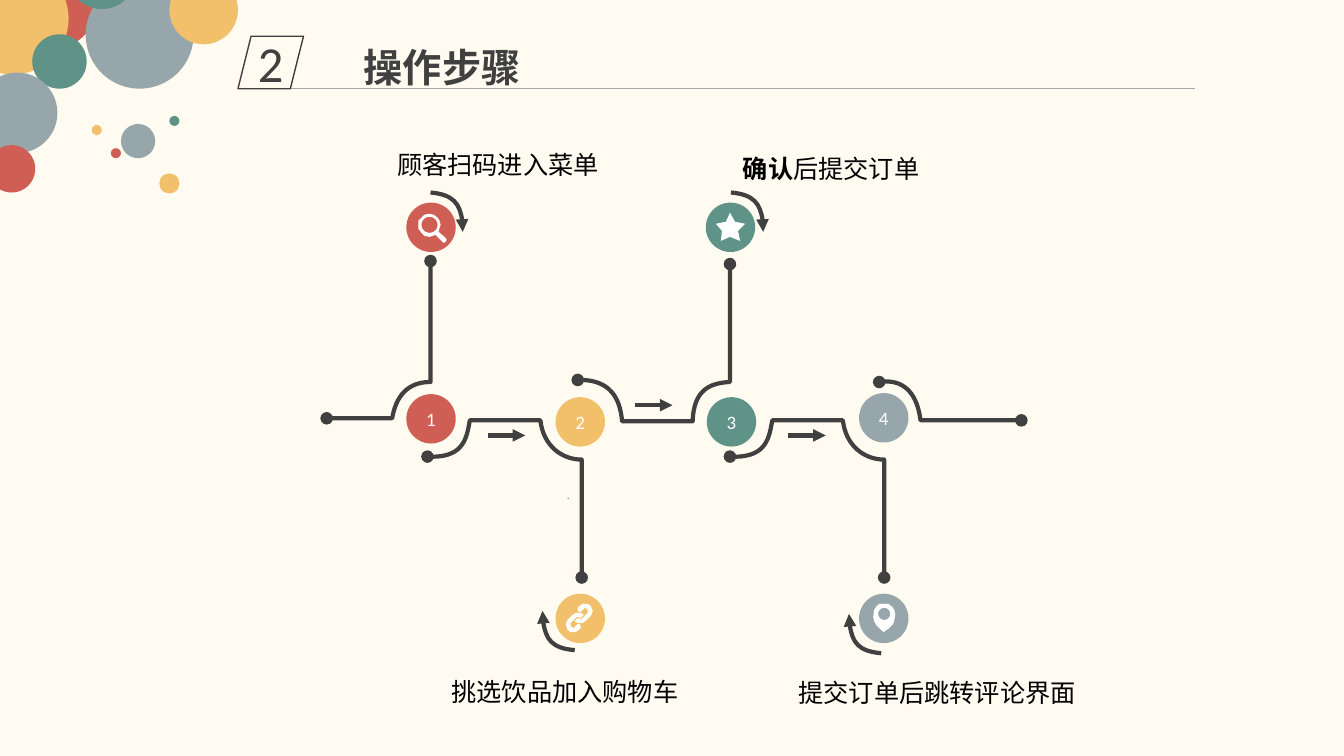
from dataclasses import dataclass
from itertools import chain, cycle
from math import cos, pi, sin

from pptx import Presentation
from pptx.dml.color import RGBColor as RGB
from pptx.enum.shapes import MSO_CONNECTOR as CONN, MSO_SHAPE as SHAPE
from pptx.enum.text import MSO_ANCHOR as ANCHOR, MSO_AUTO_SIZE as FIT, PP_ALIGN as ALIGN
from pptx.oxml import parse_xml
from pptx.oxml.ns import nsdecls, qn
from pptx.oxml.xmlchemy import OxmlElement
from pptx.util import Emu, Pt


@dataclass(frozen=True)
class Theme:
    cream: str = "FFFBF0"
    dark: str = "404040"
    rule: str = "A6A6A6"
    faint: str = "808080"
    black: str = "000000"
    white: str = "FFFFFF"
    red: str = "CF5F55"
    gold: str = "F2C06B"
    teal: str = "5F9387"
    slate: str = "97A6AB"
    latin: str = "Calibri"
    cjk: str = "Noto Sans CJK JP"
    section: float = 36
    title: float = 28
    label: float = 18
    number: float = 13.5
    tiny: float = 8.2


T = Theme()
DISC = 49

BUBBLES = [  # left, top, diameter, colour
    (4, -44, 93, T.red), (-43, -37, 111, T.gold), (32, 34, 54, T.teal),
    (-23, 72, 80, T.slate), (85, -19, 107, T.slate), (67, -59, 68, T.teal),
    (-12, 144, 47, T.red), (120, 123, 34, T.slate), (110, 147, 10, T.red),
    (91, 124, 10, T.gold), (168, 115, 10, T.teal), (158, 172, 20, T.gold),
    (168, -24, 68, T.gold),
]
STEPS = [  # colour, number disc, icon disc
    (T.red, (403, 391), (403, 201)),
    (T.gold, (551, 394), (551, 589)),
    (T.teal, (701, 394), (700, 201)),
    (T.slate, (852, 390), (852, 589)),
]
LABELS = [  # left, top, width, height, runs of (text, bold)
    (384, 143, 222, 71, [("顾客扫码进入菜单", False)]),
    (438, 666, 265, 40, [("挑选饮品加入购物车", False)]),
    (727, 147, 197, 40, [("确认", True), ("后提交订单", False)]),
    (782, 667, 298, 40, [("提交订单后跳转评论界面", False)]),
]
# A pair of numbers is a straight step; six numbers are a Bézier step.
DIP = [(424, 453), (460, 455, 463, 434, 466, 417), (536, 417),
       (539, 443, 558, 456, 577, 456), (577, 573)]
RISES = [
    [(324, 415), (389, 415), (394, 386, 411, 379, 427, 379), (427, 259)],
    [(573, 377), (603, 376, 615, 394, 617, 418), (687, 418),
     (688, 386, 705, 380, 724, 379), (724, 262)],
    [(872, 379), (897, 375, 910, 393, 913, 417), (1013, 417)],
]
TURN_DOWN = [(427, 191), (450, 193, 460, 207, 459, 230)]
TURN_UP = [(570, 645), (547, 643, 538, 630, 538, 606)]
STRAIGHT_ARROWS = [(484, 432), (630, 402), (782, 432)]
LENS = [(426, 212), (430, 213), (434, 216), (436, 219), (437, 223), (436, 226),
        (435, 230), (442, 236), (443, 238), (442, 240), (440, 241), (439, 240),
        (432, 233), (429, 234), (426, 235), (421, 234), (418, 231), (415, 227),
        (415, 219), (418, 216), (421, 213)]
LINK = [(573, 608), (576, 608), (578, 609), (579, 610), (576, 613), (574, 612),
        (572, 612), (566, 618), (566, 621), (567, 622), (569, 623), (570, 622),
        (573, 619), (575, 619), (576, 621), (576, 623), (574, 625), (571, 627),
        (569, 627), (566, 627), (563, 625), (562, 622), (561, 620), (562, 617),
        (563, 615), (568, 610), (571, 608)]
PIN = [(877, 599), (881, 599), (885, 602), (887, 605), (888, 610), (887, 615),
       (886, 619), (884, 621), (881, 624), (879, 625), (877, 627), (875, 626),
       (873, 624), (871, 622), (869, 620), (867, 616), (866, 612), (867, 605),
       (869, 602), (872, 599)]
STAR = [(724, 211), (729, 220), (739, 222), (732, 229), (734, 239),
        (724, 235), (715, 239), (716, 229), (710, 222), (720, 220)]


def px(v):
    return Emu(round(v * 9144))


def shift(route, *offset):
    return [tuple(v + d for v, d in zip(seg, cycle(offset))) for seg in route]


def ring(cx, cy, r, n=24):
    return [(cx + r * cos(2 * pi * i / n), cy + r * sin(2 * pi * i / n)) for i in range(n)]


def paint(s, fill=None, line=None, width=1):
    """Set fill and outline; None leaves that part empty."""
    s.shadow.inherit = False
    if fill:
        s.fill.solid()
        s.fill.fore_color.rgb = RGB.from_string(fill)
    else:
        s.fill.background()
    if line:
        stroke(s, line, width)
    else:
        s.line.fill.background()


def stroke(s, color, width, **ends):
    """Draw the line; ends maps headEnd and tailEnd to their kinds, in that order."""
    s.line.color.rgb = RGB.from_string(color)
    s.line.width = Pt(width)
    ln = s.element.find(".//" + qn("a:ln"))
    for tag, kind in ends.items():
        ln.append(parse_xml(f'<a:{tag} {nsdecls("a")} type="{kind}"/>'))


def write(s, runs, size, color, font=T.latin, align=ALIGN.LEFT, **frame):
    """Fill the text frame with (text, bold) runs."""
    tf = s.text_frame
    for name, value in frame.items():
        setattr(tf, name, value)
    p = tf.paragraphs[0]
    p.alignment = align
    for text, bold in runs:
        r = p.add_run()
        r.text = text
        for name, value in {"size": Pt(size), "bold": bold, "name": font}.items():
            setattr(r.font, name, value)
        r.font.color.rgb = RGB.from_string(color)
        ea = OxmlElement("a:ea")
        ea.set("typeface", T.cjk)
        r.font.fill  # the colour is in place before the typeface
        r.font._element.find(qn("a:latin")).addnext(ea)


def preset(shapes, kind, x, y, w, h, **look):
    s = shapes.add_shape(kind, px(x), px(y), px(w), px(h))
    paint(s, **look)
    return s


def disc(shapes, x, y, d, color):
    return preset(shapes, SHAPE.OVAL, x, y, d, d, fill=color)


def center_number(s, text, size, color):
    write(s, [(text, False)], size, color, align=ALIGN.CENTER, word_wrap=False,
          vertical_anchor=ANCHOR.MIDDLE, margin_left=0, margin_right=0,
          margin_top=0, margin_bottom=0)


def text_box(shapes, x, y, w, h, runs, size, color, wrap=True, **style):
    s = shapes.add_textbox(px(x), px(y), px(w), px(h))
    write(s, runs, size, color, word_wrap=wrap, auto_size=FIT.SHAPE_TO_FIT_TEXT, **style)


def line(shapes, x1, y1, x2, y2, color, width, **ends):
    s = shapes.add_connector(CONN.STRAIGHT, px(x1), px(y1), px(x2), px(y2))
    s.element.spPr.append(OxmlElement("a:effectLst"))
    stroke(s, color, width, **ends)


def outline(shapes, contours, close):
    """Build a freeform, turning each six-number step into a Bézier curve."""
    builder = None
    for start, *steps in contours:
        x, y = map(px, start)
        if builder is None:
            builder = shapes.build_freeform(x, y)
        else:
            builder.move_to(x, y)
        values = [px(v) for v in chain.from_iterable(steps)]
        builder.add_line_segments(list(zip(values[::2], values[1::2])), close=close)
    s = builder.convert_to_shape()
    path = s.element.find(".//" + qn("a:path"))
    knots = iter(path.findall(qn("a:lnTo")))
    for step in chain.from_iterable(c[1:] for c in contours):
        group = [next(knots) for _ in step[::2]]
        if len(group) == 3:
            bezier = OxmlElement("a:cubicBezTo")
            group[0].addprevious(bezier)
            for knot in group:
                bezier.append(knot[0])
                path.remove(knot)
    return s


def route(shapes, steps, **ends):
    s = outline(shapes, [steps], close=False)
    paint(s)
    stroke(s, T.dark, 3, **ends)


def icon(shapes, *contours):
    paint(outline(shapes, contours, close=True), fill=T.white)


def main():
    prs = Presentation()
    prs.slide_width, prs.slide_height = px(1333), px(750)
    slide = prs.slides.add_slide(prs.slide_layouts[6])
    slide.background.fill.solid()
    slide.background.fill.fore_color.rgb = RGB.from_string(T.cream)
    shapes = slide.shapes

    for steps in [*RISES, DIP, shift(DIP, 300, 0)]:
        route(shapes, steps, headEnd="oval", tailEnd="oval")
    for steps in [TURN_DOWN, shift(TURN_DOWN, 298, 0), TURN_UP, shift(TURN_UP, 304, 3)]:
        route(shapes, steps, tailEnd="triangle")
    for x, y in STRAIGHT_ARROWS:
        line(shapes, x, y, x + 37, y, T.dark, 3, tailEnd="triangle")

    for i, (color, number_at, icon_at) in enumerate(STEPS, 1):
        disc(shapes, *icon_at, DISC, color)
        center_number(disc(shapes, *number_at, DISC, color), str(i), T.number, T.white)
    icon(shapes, LENS, ring(426, 223, 8))
    icon(shapes, LINK, [(1149 - x, 1226 - y) for x, y in LINK])
    icon(shapes, PIN, ring(877, 609, 6))
    icon(shapes, STAR)
    text_box(shapes, 300, 479, 275, 24, [(".", False)], T.tiny, T.faint, align=ALIGN.RIGHT)

    bubbles = shapes.add_group_shape()
    for bubble in BUBBLES:
        disc(bubbles.shapes, *bubble)

    line(shapes, 284, 88, 1185, 88, T.rule, 0.5)
    section = preset(shapes, SHAPE.PARALLELOGRAM, 236, 36, 65, 52, line=T.dark)
    center_number(section, "2", T.section, T.dark)
    text_box(shapes, 351, 38, 513, 57, [("操作步骤", True)], T.title, T.dark, font=T.cjk)
    for *box, runs in LABELS:
        text_box(shapes, *box, runs, T.label, T.black, wrap=False)
    prs.save("out.pptx")


if __name__ == "__main__":
    main()
